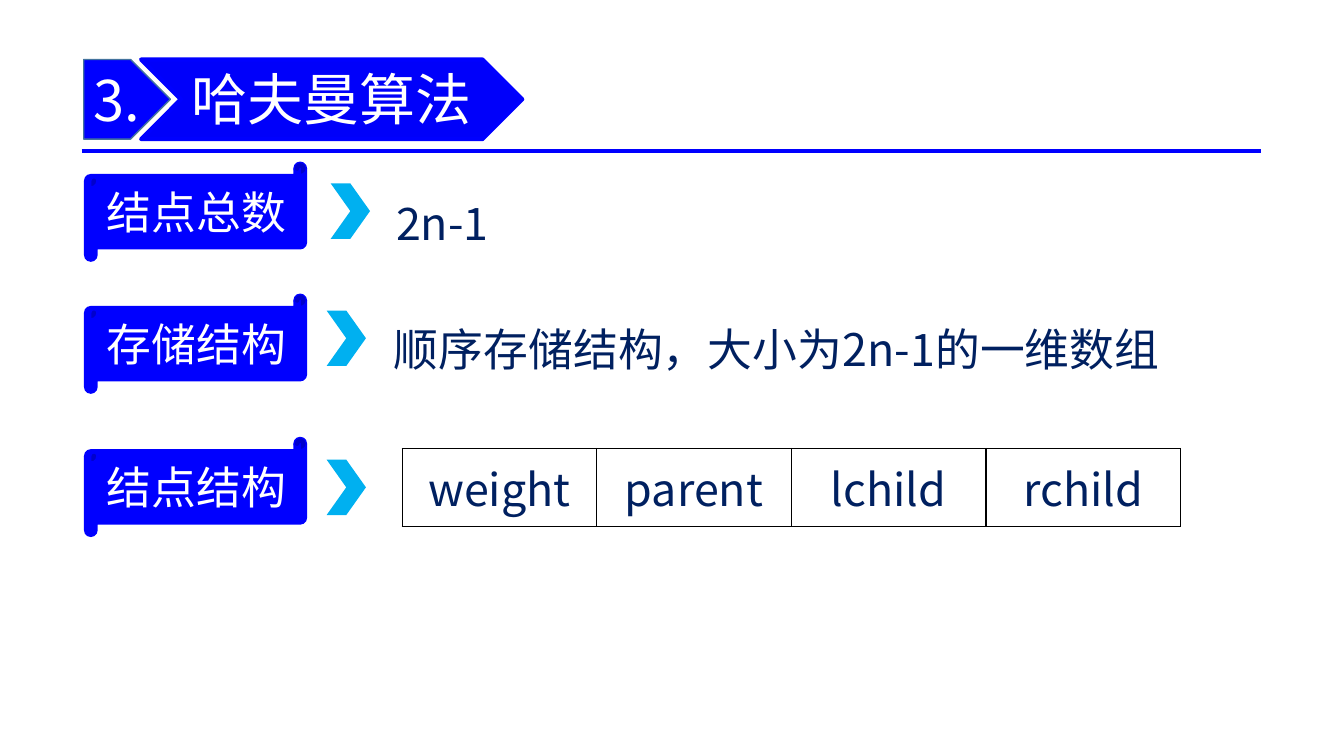
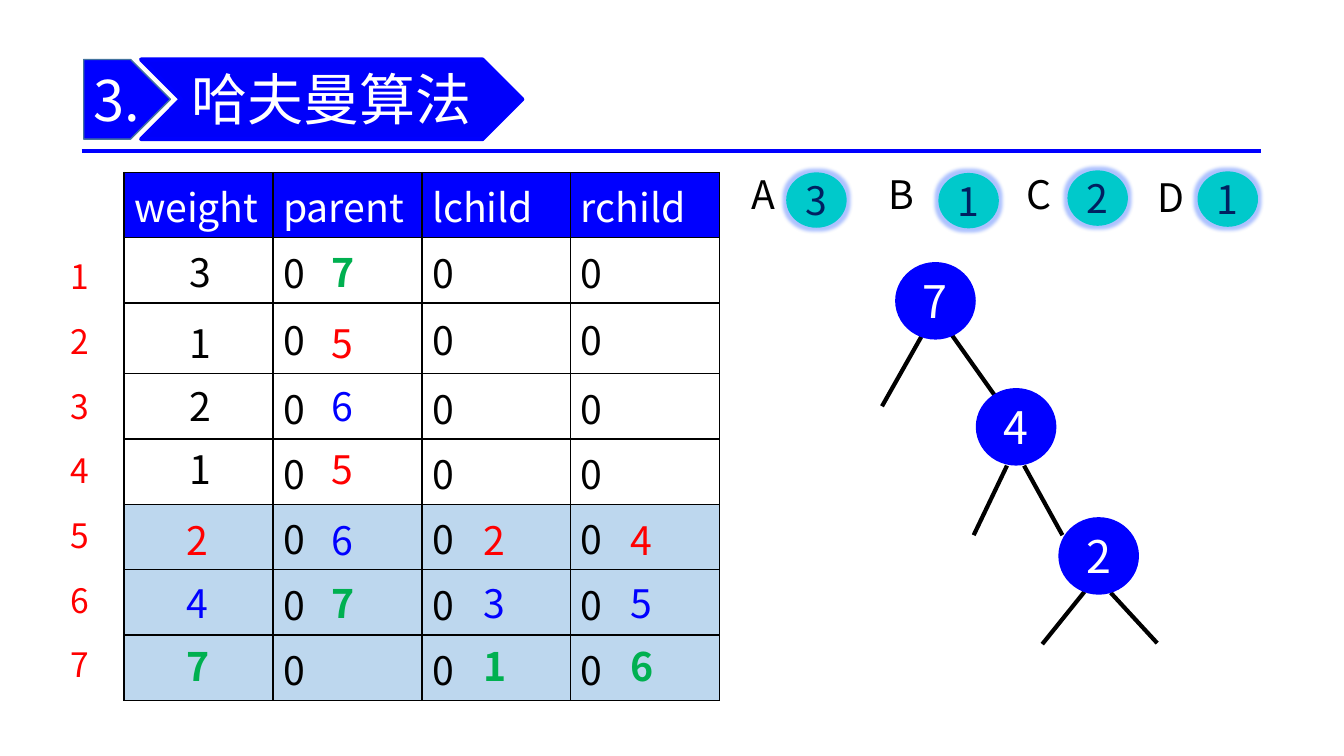
from lxml import etree
from pptx import Presentation
from pptx import util as u
from pptx.dml import color as c
from pptx.enum import shapes, text as t
from pptx.oxml import ns

Pt = u.Pt
FONT = "Noto Sans CJK SC"
COLORS = {
    "blue": "0000FF", "banner": "0000FA", "edge": "43739E", "sky": "00B0F0",
    "navy": "002060", "white": "FFFFFF", "black": "000000", "red": "FF0000",
    "green": "00B050", "pale": "BDD7EE", "teal": "00C9CB", "glow": "3366FF",
}
SHAPE = shapes.MSO_SHAPE
CENTER = t.PP_ALIGN.CENTER
FIELDS = ["weight", "parent", "lchild", "rchild"]


def rgb(name):
    return c.RGBColor.from_string(COLORS[name])


def add_element(parent, tag, **attributes):
    return etree.SubElement(parent, ns.qn(tag), **attributes)


def write(frame, text, size=28, color="black", bold=False, align=None, spacing=None):
    para = frame.paragraphs[0]
    para.alignment = align or t.PP_ALIGN.LEFT
    if spacing:
        para.line_spacing = spacing
    span = para.add_run()
    span.text = text
    span.font.size = Pt(size)
    span.font.bold = bold
    span.font.color.rgb = rgb(color)
    span.font.name = FONT
    add_element(span.font._element, "a:ea", typeface=FONT)


class Sketch:
    def __init__(self):
        self.deck = Presentation()
        self.deck.slide_width, self.deck.slide_height = Pt(960), Pt(540)
        self.page = None

    def new_page(self, number, title):
        self.page = self.deck.slides.add_slide(self.deck.slide_layouts[6])
        self.line(58.3, 108, 900.7, 108, "blue")
        plate = self.shape(SHAPE.PENTAGON, 59.8, 42.5, 61.9, 56.9, "blue", line="edge")
        write(plate.text_frame, number, size=40, color="white")
        self.shape(SHAPE.CHEVRON, 100.8, 42.5, 272.2, 56.9, "banner", line="blue", weight=3)
        box = self.text(133.9, 31, 357.1, 77.8, title, size=40, color="white")
        frame = box.text_frame
        frame.vertical_anchor = t.MSO_ANCHOR.MIDDLE
        frame.margin_left, frame.margin_right = Pt(2.9), 0
        frame.margin_top = frame.margin_bottom = Pt(1.4)

    def shape(self, kind, left, top, width, height, fill, line=None, weight=1):
        shape = self.page.shapes.add_shape(kind, Pt(left), Pt(top), Pt(width), Pt(height))
        shape.shadow.inherit = False
        shape.fill.solid()
        shape.fill.fore_color.rgb = rgb(fill)
        if line:
            shape.line.color.rgb = rgb(line)
            shape.line.width = Pt(weight)
        else:
            shape.line.fill.background()
        shape.text_frame.vertical_anchor = t.MSO_ANCHOR.MIDDLE
        return shape

    def disc(self, left, top, width, height, fill, label, glow=False, **style):
        disc = self.shape(SHAPE.OVAL, left, top, width, height, fill)
        frame = disc.text_frame
        frame.margin_left = frame.margin_right = 0
        write(frame, label, align=CENTER, **style)
        if glow:
            effects = disc._element.spPr.find(ns.qn("a:effectLst"))
            halo = add_element(effects, "a:glow", rad="63500")
            tint = add_element(halo, "a:srgbClr", val=COLORS["glow"])
            add_element(tint, "a:alpha", val="40000")

    def text(self, left, top, width, height, text, fill=None, grow=False, **style):
        box = self.page.shapes.add_textbox(Pt(left), Pt(top), Pt(width), Pt(height))
        frame = box.text_frame
        frame.word_wrap = True
        if grow:
            frame.auto_size = t.MSO_AUTO_SIZE.SHAPE_TO_FIT_TEXT
        if fill:
            box.fill.solid()
            box.fill.fore_color.rgb = rgb(fill)
        write(frame, text, **style)
        return box

    def digit(self, left, top, text, **style):
        self.text(left, top, 34, 41, text, grow=True, **style)

    def line(self, x1, y1, x2, y2, color="black"):
        line = self.page.shapes.add_connector(
            shapes.MSO_CONNECTOR.STRAIGHT, Pt(x1), Pt(y1), Pt(x2), Pt(y2))
        line.line.color.rgb = rgb(color)
        line.line.width = Pt(3)
        add_element(line._element.spPr, "a:effectLst")

    def table(self, left, top, widths, heights, rows, look, border=True):
        table = self.page.shapes.add_table(
            len(heights), len(widths), Pt(left), Pt(top),
            Pt(sum(widths)), Pt(sum(heights))).table
        table.first_row = table.horz_banding = False
        for column, width in zip(table.columns, widths):
            column.width = Pt(width)
        for i, (row, height) in enumerate(zip(table.rows, heights)):
            row.height = Pt(height)
            fill, style = look(i)
            for cell, value in zip(row.cells, rows[i]):
                cell.vertical_anchor = t.MSO_ANCHOR.MIDDLE
                if border:
                    self.frame_cell(cell)
                if fill:
                    cell.fill.solid()
                    cell.fill.fore_color.rgb = rgb(fill)
                else:
                    cell.fill.background()
                if value:
                    write(cell.text_frame, value, **style)

    def frame_cell(self, cell):
        properties = cell._tc.get_or_add_tcPr()
        for side in ("a:lnL", "a:lnR", "a:lnT", "a:lnB"):
            edge = add_element(properties, side, w=str(Pt(1)))
            add_element(add_element(edge, "a:solidFill"), "a:srgbClr", val=COLORS["black"])


def structure_page(sketch):
    sketch.new_page("3.", "哈夫曼算法")
    topics = [("结点总数", 115.9, 236.2, 131),
              ("存储结构", 210.2, 233.3, 221.8),
              ("结点结构", 312.5, 233.3, 328.3)]
    for label, top, arrow_left, arrow_top in topics:
        scroll = sketch.shape(SHAPE.HORIZONTAL_SCROLL, 60.5, top, 158.4, 70.6, "blue", line="blue")
        scroll.text_frame.margin_right = 0
        write(scroll.text_frame, label, size=32, color="white")
        sketch.shape(SHAPE.CHEVRON, arrow_left, arrow_top, 28.1, 39.6, "sky")
    answer = dict(size=32, color="navy", spacing=1.5)
    sketch.text(275.8, 117.4, 124.6, 67.7, "2n-1", **answer)
    sketch.text(274.3, 207.4, 596.9, 67.7, "顺序存储结构，大小为2n-1的一维数组", **answer)
    sketch.table(287.3, 320.4, [139] * 4, [55.4], [FIELDS],
                 lambda i: ("white", dict(size=32, color="navy", align=CENTER)))


def example_page(sketch):
    sketch.new_page("3.", "哈夫曼算法")

    def grid_look(i):
        fill = "blue" if i == 0 else "white" if i < 5 else "pale"
        return fill, dict(color="black" if i else "white")

    sketch.table(88.6, 123.1, [106.4] * 4, [46.7] * 2 + [50.4] + [46.7] * 5,
                 [FIELDS] + [["", "0", "0", "0"]] * 7, grid_look)
    sketch.table(33.1, 173.5, [47.5], [46.2] * 7, [[str(n)] for n in range(1, 8)],
                 lambda i: (None, dict(size=24, color="red", align=CENTER)), border=False)

    tops = [173.5, 224.6, 269.6, 314.9, 365, 410.4, 455]
    for top, weight in zip(tops, "3121"):
        sketch.digit(128.2, top, weight)
    lefts = dict(zip(FIELDS, [126, 229.7, 338, 443.5]))
    merges = [
        ("red", [("parent", 2, "5"), ("parent", 4, "5"), ("weight", 5, "2"),
                 ("lchild", 5, "2"), ("rchild", 5, "4")]),
        ("blue", [("parent", 3, "6"), ("parent", 5, "6"), ("weight", 6, "4"),
                  ("lchild", 6, "3"), ("rchild", 6, "5")]),
        ("green", [("parent", 1, "7"), ("parent", 6, "7"), ("weight", 7, "7"),
                   ("lchild", 7, "1"), ("rchild", 7, "6")]),
    ]
    for color, marks in merges:
        for field, row, value in marks:
            sketch.digit(lefts[field], tops[row - 1], value, color=color,
                         bold=color == "green", fill="white" if row < 5 else "pale")

    leaves = [("A", 528.5, 118.1, "3", 561.6, 123.1), ("B", 627.1, 118.1, "1", 670.3, 123.5),
              ("C", 725, 118.1, "2", 762.5, 121.7), ("D", 819.4, 120.2, "1", 855.4, 122.4)]
    for name, left, top, weight, disc_left, disc_top in leaves:
        sketch.digit(left, top, name, align=CENTER)
        sketch.disc(disc_left, disc_top, 43.2, 39.6, "teal", weight, glow=True, color="navy")

    branches = [(630, 290.2, 658.1, 240.5), (679.7, 239, 713.5, 286.6),
                (719.3, 332.6, 695.5, 382.3), (731.5, 332.6, 758.9, 382.3),
                (744.5, 460.1, 774.7, 422.6), (793.4, 423.4, 826.6, 459.4)]
    for branch in branches:
        sketch.line(*branch)
    for value, left, top in [("7", 639.4, 187.2), ("4", 697, 277.2), ("2", 756, 369.4)]:
        sketch.disc(left, top, 57.6, 55.4, "blue", value, size=32, color="white")


def main():
    sketch = Sketch()
    structure_page(sketch)
    example_page(sketch)
    sketch.deck.save("out.pptx")


if __name__ == "__main__":
    main()
